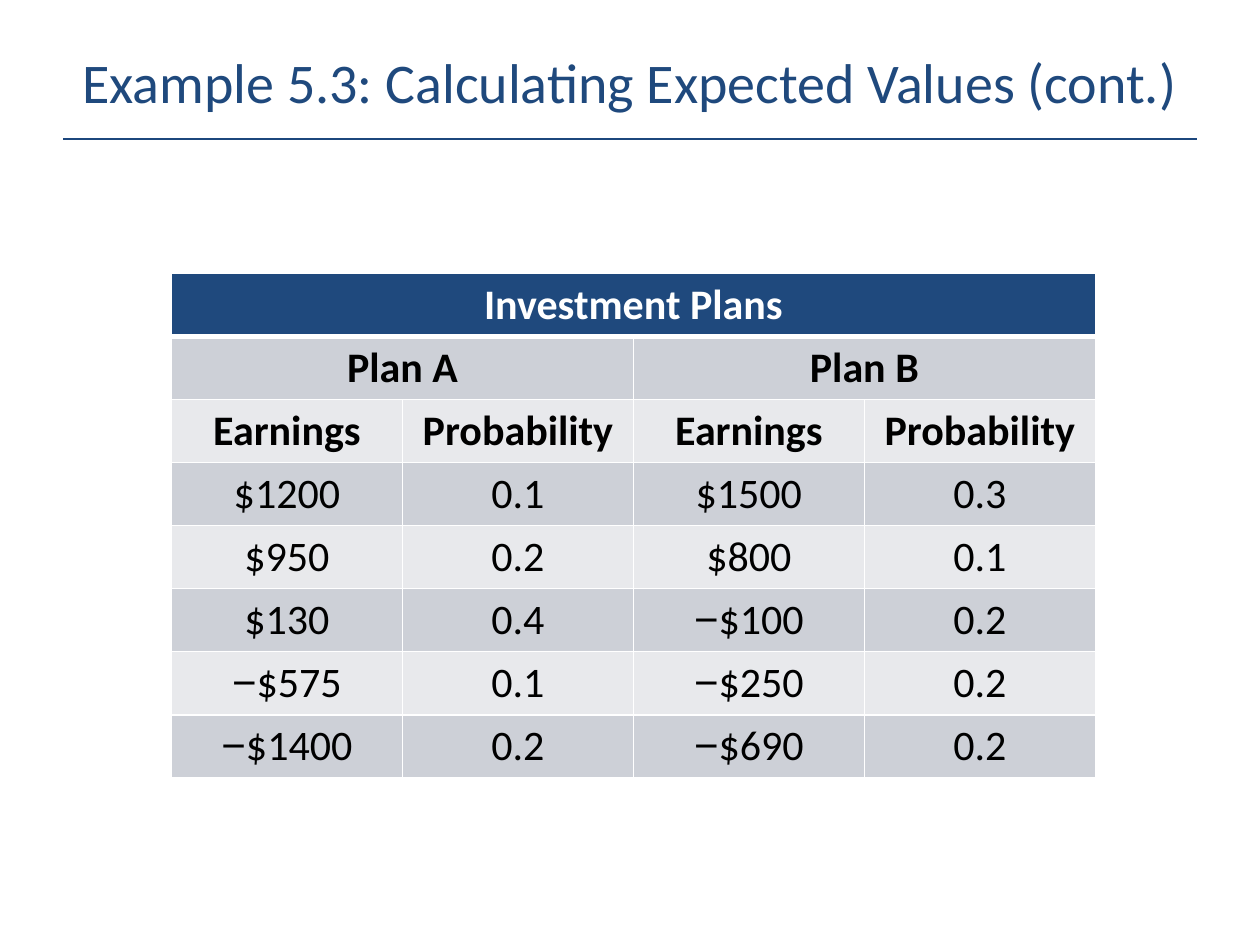
from lxml import etree
from pptx import Presentation
from pptx.dml.color import RGBColor
from pptx.enum.shapes import MSO_CONNECTOR
from pptx.enum.text import MSO_ANCHOR, PP_ALIGN
from pptx.oxml.ns import qn
from pptx.util import Pt

CENTER = PP_ALIGN.CENTER
MIDDLE = MSO_ANCHOR.MIDDLE
STRAIGHT = MSO_CONNECTOR.STRAIGHT
FONT = "Calibri"
MINUS = "−"
MINUS_FONT = "Arial"
COLORS = {
    "title": "1F497D",
    "rule": "1C477D",
    "header": "1F497D",
    "band_dark": "CDD0D7",
    "band_light": "E8E9EC",
    "border": "FFFFFF",
    "header_text": "FFFFFF",
    "text": "000000",
}
PLANS = [
    ["Investment Plans", "", "", ""],
    ["Plan A", "", "Plan B", ""],
    ["Earnings", "Probability", "Earnings", "Probability"],
    ["$1200", "0.1", "$1500", "0.3"],
    ["$950", "0.2", "$800", "0.1"],
    ["$130", "0.4", "−$100", "0.2"],
    ["−$575", "0.1", "−$250", "0.2"],
    ["−$1400", "0.2", "−$690", "0.2"],
]
HEADING_ROWS = 3


def color(name):
    """Return the named palette colour."""
    return RGBColor.from_string(COLORS[name])


def add_run(paragraph, text, size, color_name, bold=False, font=FONT):
    """Append a formatted run to a paragraph."""
    run = paragraph.add_run()
    run.text = text
    run.font.name = font
    run.font.size = Pt(size)
    run.font.bold = bold
    run.font.color.rgb = color(color_name)


def add_title(slide, text, left, top, width, height):
    """Place the centred title and the rule that underlines it."""
    rule_y = top + height - 7.2
    rule = slide.shapes.add_connector(
        STRAIGHT, Pt(left), Pt(rule_y), Pt(left + width), Pt(rule_y))
    rule.line.color.rgb = color("rule")
    rule.line.width = Pt(1.25)
    etree.SubElement(rule._element.spPr, qn("a:effectLst"))

    box = slide.shapes.add_textbox(Pt(left), Pt(top), Pt(width), Pt(height))
    frame = box.text_frame
    frame.word_wrap = True
    frame.vertical_anchor = MIDDLE
    paragraph = frame.paragraphs[0]
    paragraph.alignment = CENTER
    paragraph.line_spacing = Pt(30)
    add_run(paragraph, text, 32, "title")


def set_borders(cell, bottom=1, top=1):
    """Draw solid borders on all four sides of a cell."""
    properties = cell._tc.get_or_add_tcPr()
    widths = {"a:lnL": 1, "a:lnR": 1, "a:lnT": top, "a:lnB": bottom}
    for index, (tag, width) in enumerate(widths.items()):
        line = etree.Element(qn(tag), w=str(Pt(width)))
        fill = etree.SubElement(line, qn("a:solidFill"))
        etree.SubElement(fill, qn("a:srgbClr"), val=COLORS["border"])
        properties.insert(index, line)


def fill_cell(cell, text, row):
    """Write and format one cell according to its row."""
    is_header = row == 0
    band = "band_dark" if row % 2 else "band_light"
    cell.fill.solid()
    cell.fill.fore_color.rgb = color("header" if is_header else band)
    set_borders(cell, bottom=3 if is_header else 1, top=3 if row == 1 else 1)
    paragraph = cell.text_frame.paragraphs[0]
    paragraph.alignment = CENTER
    text_color = "header_text" if is_header else "text"
    if text.startswith(MINUS):
        add_run(paragraph, MINUS, 24, text_color, font=MINUS_FONT)
    amount = text.removeprefix(MINUS)
    if amount:
        add_run(paragraph, amount, 24, text_color, row < HEADING_ROWS)


def add_plans_table(slide, rows, left, top, width, height):
    """Place the table that compares the investment plans."""
    columns = len(rows[0])
    table = slide.shapes.add_table(
        len(rows), columns, Pt(left), Pt(top), Pt(width), Pt(height)).table
    for column in table.columns:
        column.width = Pt(width / columns)
    for row in table.rows:
        row.height = Pt(height / len(rows))
    for row_index, values in enumerate(rows):
        for column_index, text in enumerate(values):
            fill_cell(table.cell(row_index, column_index), text, row_index)
    for row, first, last in ((0, 0, 3), (1, 0, 1), (1, 2, 3)):
        table.cell(row, first).merge(table.cell(row, last))


def main():
    """Build and save the presentation."""
    presentation = Presentation()
    presentation.slide_width = Pt(720)
    presentation.slide_height = Pt(540)
    slide = presentation.slides.add_slide(presentation.slide_layouts[6])
    add_title(slide, "Example 5.3: Calculating Expected Values (cont.)",
              36, 14.4, 648, 72)
    add_plans_table(slide, PLANS, 98, 156.25, 528, 288)
    presentation.save("out.pptx")


if __name__ == "__main__":
    main()
